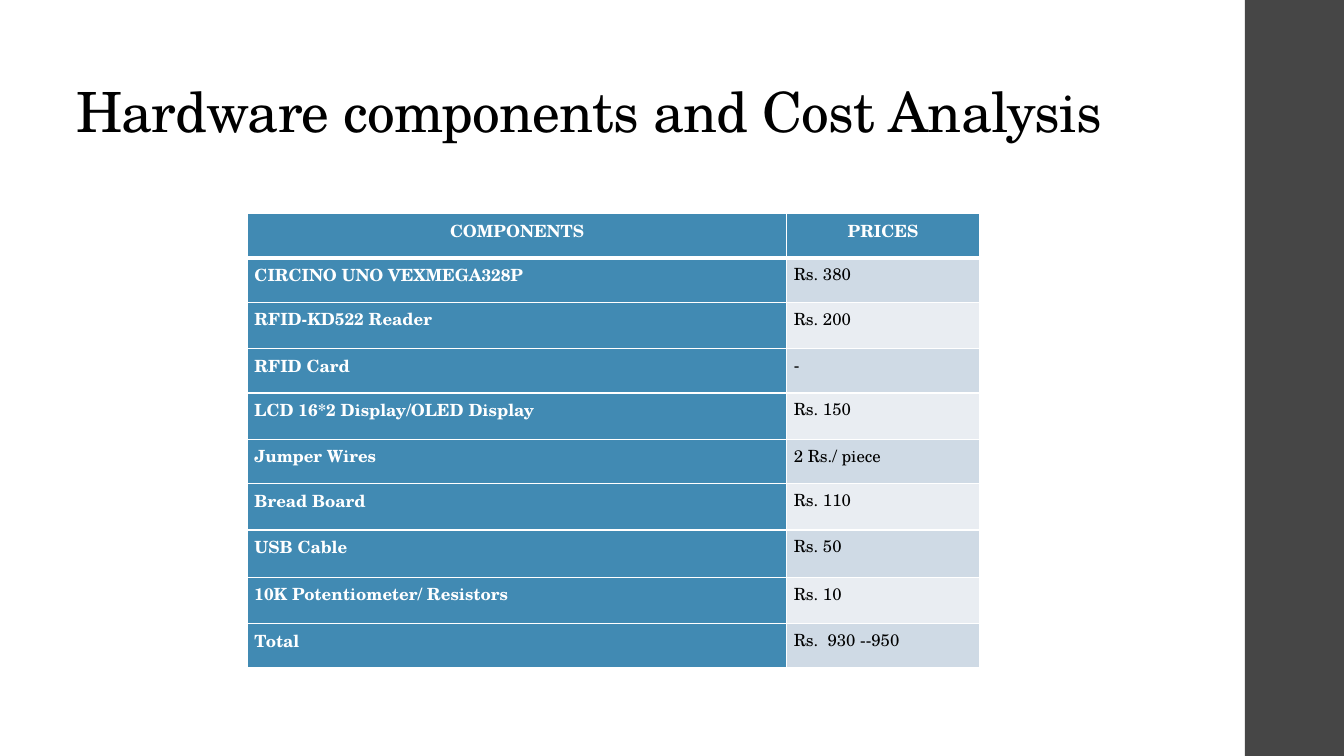
from dataclasses import dataclass

from lxml.etree import SubElement
from pptx import Presentation
from pptx.dml.color import RGBColor
from pptx.enum.shapes import MSO_SHAPE
from pptx.enum.text import MSO_ANCHOR, PP_ALIGN
from pptx.oxml import parse_xml
from pptx.oxml.ns import nsdecls
from pptx.util import Pt

FONT = "TeX Gyre Schola"
WHITE = RGBColor(0xFF, 0xFF, 0xFF)
BLACK = RGBColor(0x00, 0x00, 0x00)
CHARCOAL = RGBColor(0x46, 0x46, 0x46)
BLUE = RGBColor(0x41, 0x8A, 0xB3)
BAND_DARK = RGBColor(0xCF, 0xDA, 0xE5)
BAND_LIGHT = RGBColor(0xE9, 0xED, 0xF2)

COLUMN_WIDTHS = (385.2, 137.5)
HEADER_RULE = 3
GRID_RULE = 1


@dataclass
class CostRow:
    component: str
    price: str
    height: float = 33.1


HEADER = CostRow("COMPONENTS", "PRICES", 31.7)
COSTS = [
    CostRow("CIRCINO UNO VEXMEGA328P", "Rs. 380", 31.7),
    CostRow("RFID-KD522 Reader", "Rs. 200"),
    CostRow("RFID Card", "-", 31.7),
    CostRow("LCD 16*2 Display/OLED Display", "Rs. 150"),
    CostRow("Jumper Wires", "2 Rs./ piece", 31.7),
    CostRow("Bread Board", "Rs. 110"),
    CostRow("USB Cable", "Rs. 50", 33.8),
    CostRow("10K Potentiometer/ Resistors", "Rs. 10"),
    CostRow("Total", "Rs.  930 --950", 31.7),
]


def write_text(frame, text: str, *, size: float, color: RGBColor,
               bold: bool = False, align=PP_ALIGN.LEFT,
               line_spacing: float = 1.0, tracking: int = 0) -> None:
    para = frame.paragraphs[0]
    para.alignment = align
    para.line_spacing = line_spacing
    span = para.add_run()
    span.text = text
    span.font.name = FONT
    span.font.size = Pt(size)
    span.font.bold = bold
    span.font.color.rgb = color
    if tracking:
        span.font._element.set("spc", str(tracking))


def set_borders(cell, *, top: float, bottom: float) -> None:
    properties = cell._tc.get_or_add_tcPr()
    widths = {"lnL": GRID_RULE, "lnR": GRID_RULE, "lnT": top, "lnB": bottom}
    for index, (side, width) in enumerate(widths.items()):
        line = parse_xml(f'<a:{side} {nsdecls("a")} w="{Pt(width)}"/>')
        namespace = line.tag.split("}")[0] + "}"
        fill = SubElement(line, namespace + "solidFill")
        SubElement(fill, namespace + "srgbClr", val=str(WHITE))
        properties.insert(index, line)


def fill_cell(cell, text: str, *, fill: RGBColor, color: RGBColor, bold: bool,
              align, top: float, bottom: float) -> None:
    cell.fill.solid()
    cell.fill.fore_color.rgb = fill
    cell.margin_left = cell.margin_right = Pt(5)
    cell.margin_top = cell.margin_bottom = 0
    write_text(cell.text_frame, text, size=12, color=color, bold=bold,
               align=align, line_spacing=1.15)
    set_borders(cell, top=top, bottom=bottom)


def add_side_band(page) -> None:
    band = page.shapes.add_shape(MSO_SHAPE.RECTANGLE, Pt(889.2), 0, Pt(70.8), Pt(540))
    band.shadow.inherit = False
    band.fill.solid()
    band.fill.fore_color.rgb = CHARCOAL
    band.line.fill.background()


def add_title(page) -> None:
    box = page.shapes.add_textbox(Pt(47.5), Pt(5), Pt(799.2), Pt(144.7))
    frame = box.text_frame
    frame.word_wrap = True
    frame.vertical_anchor = MSO_ANCHOR.BOTTOM
    frame.margin_bottom = Pt(46.5)
    write_text(frame, "Hardware components and Cost Analysis", size=39.6,
               color=BLACK, line_spacing=0.9, tracking=-50)


def add_cost_table(page) -> None:
    rows = [HEADER, *COSTS]
    table = page.shapes.add_table(
        len(rows), len(COLUMN_WIDTHS), Pt(176.8), Pt(152.6),
        Pt(sum(COLUMN_WIDTHS)), Pt(sum(row.height for row in rows))).table
    table.first_col = True
    for column, width in zip(table.columns, COLUMN_WIDTHS):
        column.width = Pt(width)
    for index, row in enumerate(rows):
        table.rows[index].height = Pt(row.height)
        is_header = index == 0
        band = BAND_DARK if index % 2 else BAND_LIGHT
        for column, text in enumerate((row.component, row.price)):
            strong = is_header or column == 0
            fill_cell(table.cell(index, column), text,
                      fill=BLUE if strong else band,
                      color=WHITE if strong else BLACK,
                      bold=strong,
                      align=PP_ALIGN.CENTER if is_header else PP_ALIGN.LEFT,
                      top=HEADER_RULE if index == 1 else GRID_RULE,
                      bottom=HEADER_RULE if is_header else GRID_RULE)


def main() -> None:
    deck = Presentation()
    deck.slide_width, deck.slide_height = Pt(960), Pt(540)
    page = deck.slides.add_slide(deck.slide_layouts[6])
    add_side_band(page)
    add_title(page)
    add_cost_table(page)
    deck.save("out.pptx")


if __name__ == "__main__":
    main()
